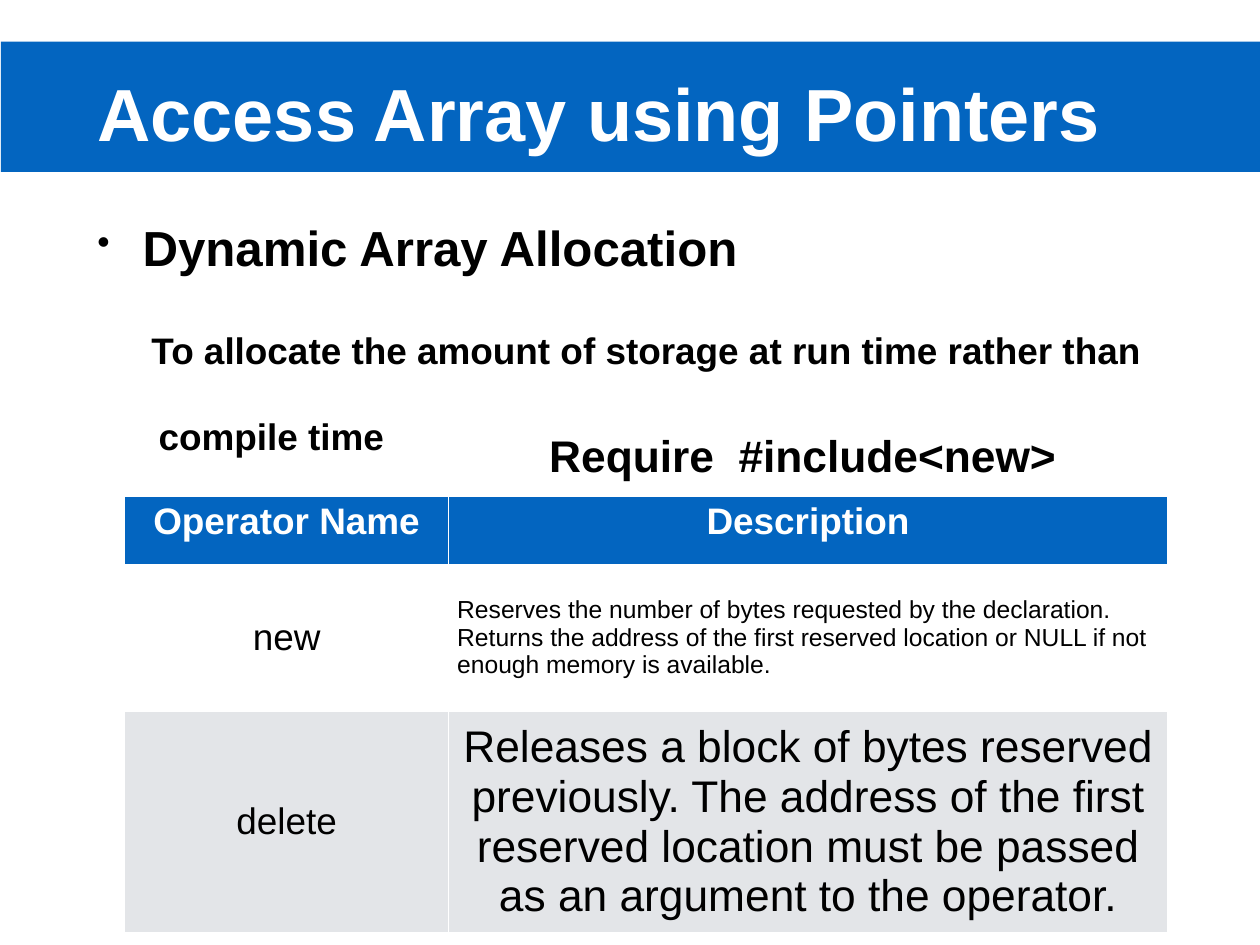
from pptx import Presentation
from pptx.dml.color import RGBColor
from pptx.enum.shapes import MSO_SHAPE
from pptx.enum.text import MSO_ANCHOR, PP_ALIGN
from pptx.util import Inches, Pt
from lxml import etree

RECT = MSO_SHAPE.RECTANGLE
TOP, MIDDLE = MSO_ANCHOR.TOP, MSO_ANCHOR.MIDDLE
LEFT, CENTER = PP_ALIGN.LEFT, PP_ALIGN.CENTER
BLUE, WHITE, BLACK, GREY = "0365C0", "FFFFFF", "000000", "E3E5E8"
NS = "{http://schemas.openxmlformats.org/drawingml/2006/main}"


def color(code):
    return RGBColor.from_string(code)


def write(frame, lines, size, code, bold, align=LEFT, anchor=TOP):
    """Fill a text frame with equally formatted paragraphs."""
    frame.text = "\n".join(lines)
    frame.word_wrap = True
    frame.vertical_anchor = anchor
    for para in frame.paragraphs:
        para.alignment = align
        font = para.font
        font.name, font.size, font.bold = "Arial", Pt(size), bold
        font.color.rgb = color(code)


prs = Presentation()
prs.slide_width, prs.slide_height = Inches(14.22), Inches(10.67)
slide = prs.slides.add_slide(prs.slide_layouts[5])
shapes = slide.shapes

# Title on its blue band
title = shapes.title
band = shapes.add_shape(RECT, Inches(0.01), Inches(0.47), Inches(14.21), Inches(1.47))
band.shadow.inherit = False
band.fill.solid()
band.fill.fore_color.rgb = color(BLUE)
band.line.fill.background()
title._element.addprevious(band._element)

title.left, title.top = Inches(1.04), Inches(0.08)
title.width, title.height = Inches(12.14), Inches(2.36)
write(title.text_frame, ["Access Array using Pointers"], 60, WHITE, True, LEFT, MIDDLE)

# Body and the note on the header file
body = shapes.add_textbox(Inches(1.04), Inches(2.39), Inches(12.14), Inches(2.8))
note = shapes.add_textbox(Inches(5.75), Inches(4.78), Inches(6.62), Inches(0.72))
write(body.text_frame, [
    "Dynamic Array Allocation",
    "To allocate the amount of storage at run time rather than",
    "compile time",
], 30, BLACK, True)
write(note.text_frame, ["Require  #include<new>"], 36, BLACK, True, CENTER, MIDDLE)

for box in (title, body, note):
    frame = box.text_frame
    frame.margin_left = frame.margin_right = Inches(0.06)
    frame.margin_top = frame.margin_bottom = Inches(0.06)

head, *rest = body.text_frame.paragraphs
head.font.size = Pt(40)
props = head._p.get_or_add_pPr()
props.set("marL", str(Inches(0.51)))
props.set("indent", str(-Inches(0.51)))
bullet = etree.Element(NS + "buChar", char="•")
scale = etree.Element(NS + "buSzPct", val="75000")
props.insert(0, scale)
scale.addnext(bullet)

for para, indent, space in zip(rest, (0.61, 0.69), (42, 34)):
    para._p.get_or_add_pPr().set("marL", str(Inches(indent)))
    para.space_before = Pt(space)

# Operators
rows = [
    (["Operator Name"], ["Description"]),
    (["new"], [
        "Reserves the number of bytes requested by the declaration.",
        "Returns the address of the first reserved location or NULL "
        "if not enough memory is available.",
    ]),
    (["delete"], [
        "Releases a block of bytes reserved previously. The address of the first "
        "reserved location must be passed as an argument to the operator.",
    ]),
]
widths, heights = (3.65, 8.12), (0.76, 1.66, 2.34)
fills, sizes = (BLUE, WHITE, GREY), (30, 20, 36)
table = shapes.add_table(3, 2, Inches(1.41), Inches(5.61),
                         Inches(sum(widths)), Inches(sum(heights))).table
table.horz_banding = False
for col, width in zip(table.columns, widths):
    col.width = Inches(width)
for r, row in enumerate(rows):
    table.rows[r].height = Inches(heights[r])
    for c, lines in enumerate(row):
        cell = table.cell(r, c)
        cell.fill.solid()
        cell.fill.fore_color.rgb = color(fills[r])
        write(cell.text_frame, lines, sizes[r] if c else 30,
              BLACK if r else WHITE, r == 0, LEFT if r == c == 1 else CENTER)
        cell.vertical_anchor = MIDDLE if r else TOP

prs.save("out.pptx")
